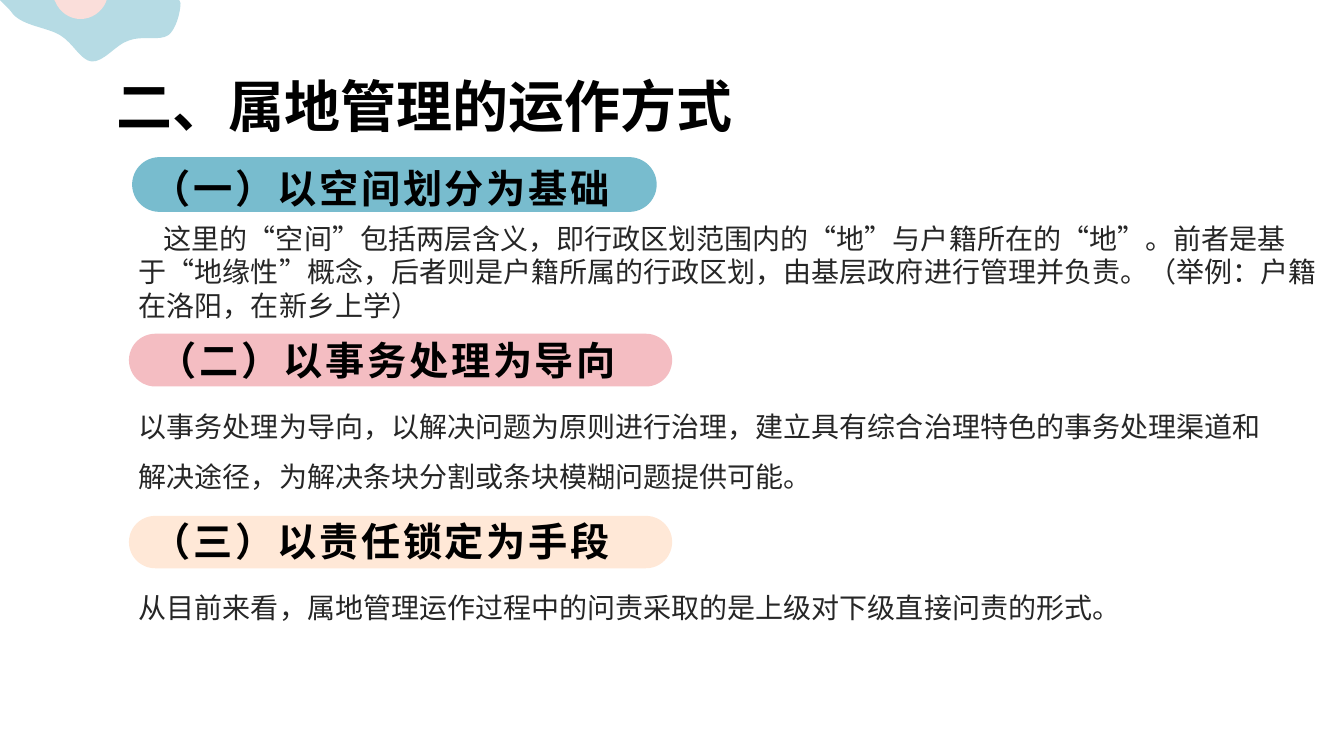
from dataclasses import dataclass
from typing import NamedTuple

from lxml.etree import SubElement
from pptx import Presentation
from pptx.dml.color import RGBColor
from pptx.enum.shapes import MSO_SHAPE
from pptx.enum.text import MSO_ANCHOR, MSO_AUTO_SIZE, PP_ALIGN
from pptx.oxml.ns import qn
from pptx.util import Cm, Pt


@dataclass(frozen=True)
class Theme:
    font: str = "Noto Sans CJK SC"
    ink: str = "000000"
    body_ink: str = "262626"
    petal: str = "B6DBE4"
    flower_heart: str = "FADEDA"
    blue: str = "78BCCE"
    pink: str = "F4BDC2"
    peach: str = "FFE8D7"
    title_size: int = 40
    heading_size: int = 28
    body_size: int = 20
    heading_spacing: int = 200


class Box(NamedTuple):
    """Left, top, width and height in centimetres."""
    left: float
    top: float
    width: float
    height: float

    def emu(self) -> list[int]:
        return [Cm(v) for v in self]


class Curve(NamedTuple):
    """Two Bezier control points and the end point."""
    control1: tuple
    control2: tuple
    end: tuple


@dataclass(frozen=True)
class Section:
    heading: str
    body: str
    color: str
    pill: Box
    heading_box: Box
    body_box: Box
    line_spacing: float = 1.5
    indent: float = 0


@dataclass(frozen=True)
class Blob:
    """Outline: straight through the corners, then along the curves."""
    color: str
    corners: list
    curves: list


THEME = Theme()

SECTIONS = [
    Section("（一）以空间划分为基础",
            "这里的“空间”包括两层含义，即行政区划范围内的“地”与户籍所在的“地”。前者是基于“地缘性”概念，"
            "后者则是户籍所属的行政区划，由基层政府进行管理并负责。（举例：户籍在洛阳，在新乡上学）",
            THEME.blue, Box(3.33, 3.96, 13.22, 1.38), Box(3.34, 3.41, 12.52, 2.64),
            Box(3.25, 5.45, 30.61, 2.82), line_spacing=1, indent=0.63),
    Section("（二）以事务处理为导向",
            "以事务处理为导向，以解决问题为原则进行治理，建立具有综合治理特色的事务处理渠道和解决途径，"
            "为解决条块分割或条块模糊问题提供可能。",
            THEME.pink, Box(3.25, 8.41, 13.69, 1.33), Box(3.34, 8.34, 12.83, 1.45),
            Box(3.25, 9.76, 28.83, 2.82)),
    Section("（三）以责任锁定为手段",
            "从目前来看，属地管理运作过程中的问责采取的是上级对下级直接问责的形式。",
            THEME.peach, Box(3.25, 13, 13.69, 1.32), Box(3.34, 12.9, 12.52, 1.45),
            Box(3.25, 14.34, 26.39, 1.52)),
]

FLOWER = [
    Blob(THEME.petal, [(0, 0), (4.52, 0), (4.55, 0.08)], [
        Curve((4.55, 0.3), (4.44, 0.74), (4.24, 0.89)),
        Curve((4.01, 1.04), (3.58, 0.89), (3.25, 1.02)),
        Curve((2.92, 1.12), (2.62, 1.57), (2.31, 1.55)),
        Curve((2.03, 1.52), (1.85, 1.09), (1.52, 0.89)),
        Curve((1.19, 0.69), (0.61, 0.66), (0.33, 0.36)),
        Curve((0.28, 0.28), (0.18, 0.18), (0.08, 0.08)),
    ]),
    Blob(THEME.flower_heart, [(1.37, 0), (2.69, 0), (2.67, 0.05)], [
        Curve((2.57, 0.3), (2.31, 0.48), (2.03, 0.48)),
        Curve((1.75, 0.48), (1.5, 0.3), (1.4, 0.05)),
    ]),
]


def paint(sp, color: str) -> None:
    sp.shadow.inherit = False
    sp.fill.solid()
    sp.fill.fore_color.rgb = RGBColor.from_string(color)
    sp.line.fill.background()


def add_blob(shapes, blob: Blob) -> None:
    """Draw the outline with straight sides, then bend the curved ones."""
    start, *points = [(Cm(x), Cm(y))
                      for x, y in blob.corners + [c.end for c in blob.curves]]
    builder = shapes.build_freeform(*start)
    builder.add_line_segments(points, close=True)
    sp = builder.convert_to_shape()
    paint(sp, blob.color)
    sides = list(sp._element.iter(qn("a:lnTo")))[len(blob.corners) - 1:]
    for side, curve in zip(sides, blob.curves):
        side.tag = qn("a:cubicBezTo")
        side.clear()
        for x, y in curve:
            pt = SubElement(side, qn("a:pt"))
            pt.set("x", str(Cm(x) - sp.left))
            pt.set("y", str(Cm(y) - sp.top))


def write(tf, text: str, size: int, color: str, bold: bool = False, spacing: int = 0):
    """Fill the frame with one formatted paragraph and return that paragraph."""
    tf.text = text
    tf.word_wrap = True
    p = tf.paragraphs[0]
    r = p.runs[0]
    r.font.size = Pt(size)
    r.font.bold = bold
    r.font.color.rgb = RGBColor.from_string(color)
    r.font.name = THEME.font
    rpr = r._r.get_or_add_rPr()
    SubElement(rpr, qn("a:ea")).set("typeface", THEME.font)
    if spacing:
        rpr.set("spc", str(spacing))
    return p


def add_section(shapes, section: Section) -> None:
    group = shapes.add_group_shape().shapes
    pill = group.add_shape(MSO_SHAPE.ROUNDED_RECTANGLE, *section.pill.emu())
    pill.adjustments[0] = 0.5
    paint(pill, section.color)

    tf = group.add_textbox(*section.heading_box.emu()).text_frame
    tf.vertical_anchor = MSO_ANCHOR.MIDDLE
    p = write(tf, section.heading, THEME.heading_size, THEME.ink, True,
              THEME.heading_spacing)
    p.alignment = PP_ALIGN.CENTER

    tf = group.add_textbox(*section.body_box.emu()).text_frame
    tf.auto_size = MSO_AUTO_SIZE.SHAPE_TO_FIT_TEXT
    p = write(tf, section.body, THEME.body_size, THEME.body_ink)
    p.line_spacing = section.line_spacing
    if section.indent:
        p._p.get_or_add_pPr().set("indent", str(Cm(section.indent)))


def set_title(title, text: str, box: Box) -> None:
    title.left, title.top, title.width, title.height = box.emu()
    tf = title.text_frame
    tf.vertical_anchor = MSO_ANCHOR.MIDDLE
    tf.auto_size = MSO_AUTO_SIZE.NONE
    p = write(tf, text, THEME.title_size, THEME.ink, True)
    p.alignment = PP_ALIGN.LEFT
    p.line_spacing = 0.9


def main() -> None:
    prs = Presentation()
    prs.slide_width, prs.slide_height = Cm(33.87), Cm(19.05)
    s = prs.slides.add_slide(prs.slide_layouts.get_by_name("Title Only"))
    set_title(s.shapes.title, "二、属地管理的运作方式", Box(2.69, 2, 29.21, 1.52))
    for blob in FLOWER:
        add_blob(s.shapes, blob)
    for section in SECTIONS:
        add_section(s.shapes, section)
    prs.save("out.pptx")


if __name__ == "__main__":
    main()
